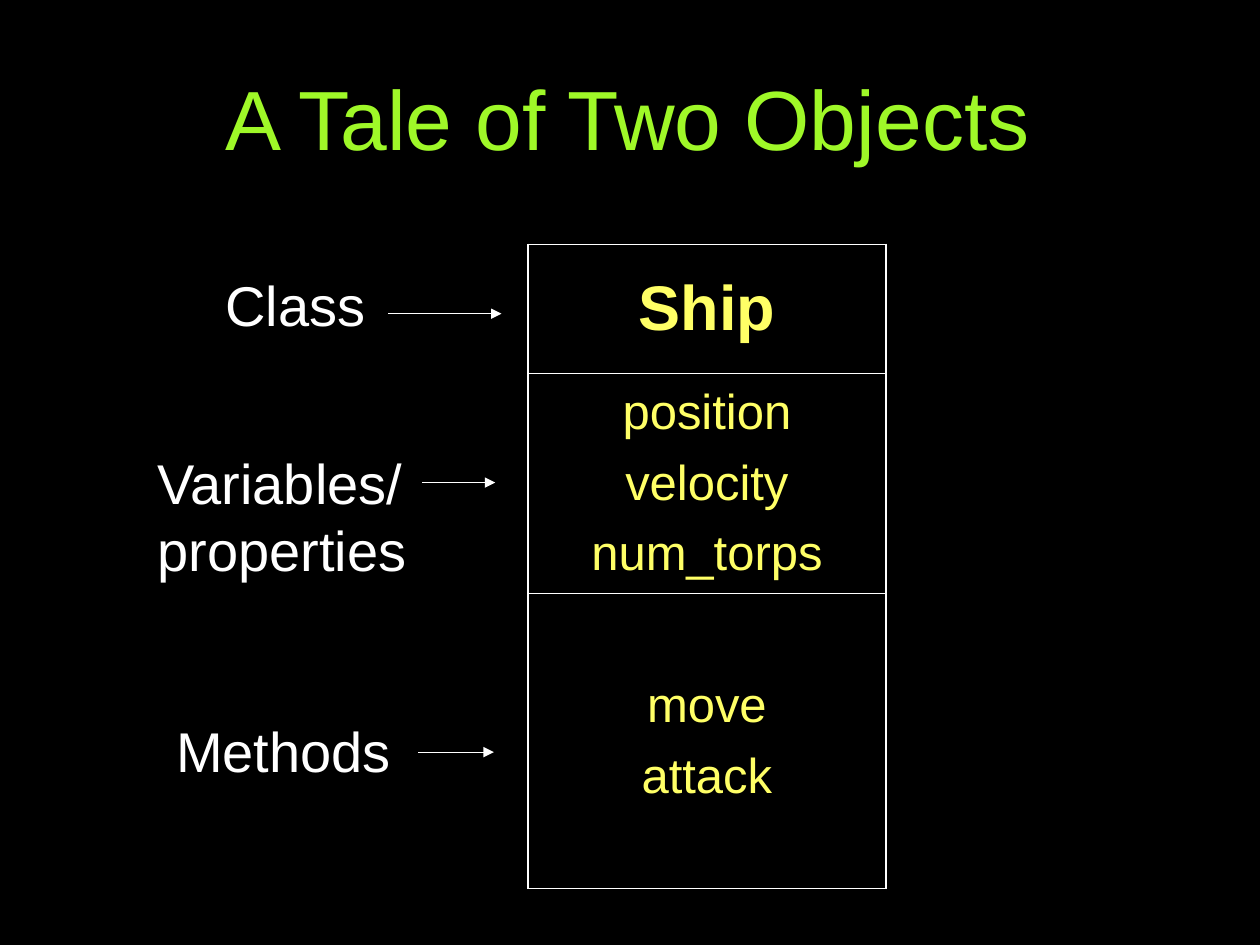
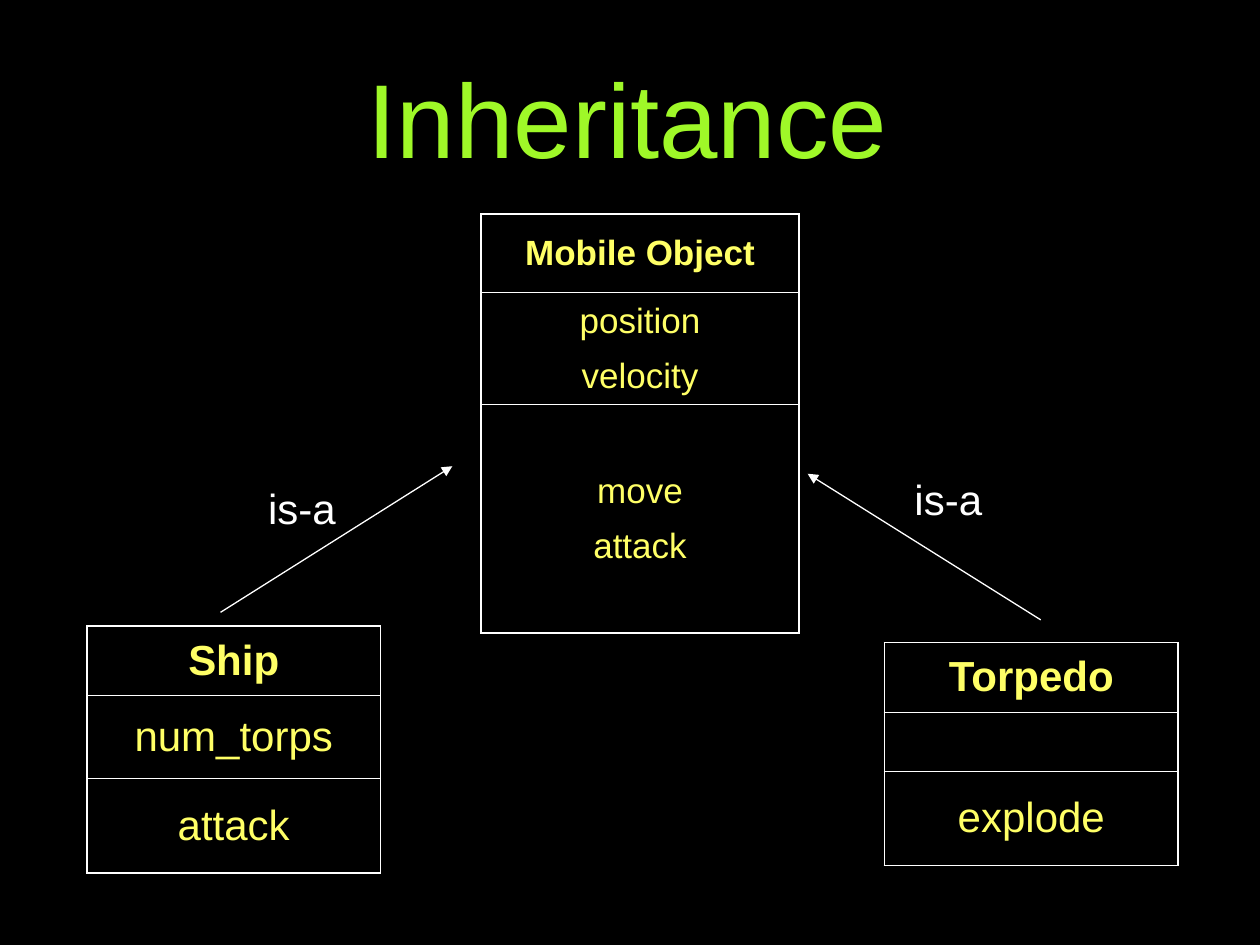
"""Builds two slides on classes and inheritance with class diagrams."""
import pptx
import pptx.dml.color
import pptx.enum.shapes
import pptx.enum.text
import pptx.oxml
import pptx.oxml.ns
import pptx.util
from lxml import etree

Inches, Pt = pptx.util.Inches, pptx.util.Pt
PP_ALIGN = pptx.enum.text.PP_ALIGN
MIDDLE = pptx.enum.text.MSO_ANCHOR.MIDDLE
qn = pptx.oxml.ns.qn

FONT = "Arial"
COLORS = {"background": "000000", "title": "9FF828", "member": "FFFF66", "plain": "FFFFFF"}
OUTER_BORDER, INNER_BORDER, ARROW_WIDTH = 1.08, 0.45, 0.75
MEMBER_GAP = 9
TITLE_AREA = (0.5, 0.07, 9, 1.71)

SLIDES = [
    {
        "title": ("A Tale of Two Objects", 48),
        "classes": [
            {"at": (4.19, 1.94), "width": 2.84, "heights": (1.02, 1.75, 2.34), "sizes": (36, 28),
             "sections": [["Ship"], ["position", "velocity", "num_torps"], ["move", "attack"]]},
        ],
        "arrows": [((3.08, 2.49), (3.98, 2.49)),
                   ((3.35, 3.83), (3.93, 3.83)),
                   ((3.32, 5.97), (3.92, 5.97))],
        "label_size": 32,
        "labels": [(["Class"], (1.69, 2.1, 1.35, 0.64)),
                   (["Variables/", "properties"], (1.15, 3.51, 2.22, 1.17)),
                   (["Methods"], (1.3, 5.64, 1.95, 0.64))],
    },
    {
        "title": ("Inheritance", 60),
        "classes": [
            {"at": (3.82, 1.7), "width": 2.52, "heights": (0.62, 0.89, 1.81), "sizes": (20, 20),
             "sections": [["Mobile Object"], ["position", "velocity"], ["move", "attack"]]},
            {"at": (0.69, 4.97), "width": 2.33, "heights": (0.55, 0.66, 0.75), "sizes": (24, 24),
             "sections": [["Ship"], ["num_torps"], ["attack"]]},
            {"at": (7.02, 5.1), "width": 2.33, "heights": (0.55, 0.47, 0.75), "sizes": (24, 24),
             "sections": [["Torpedo"], [], ["explode"]]},
        ],
        "arrows": [((1.75, 4.86), (3.59, 3.7)),
                   ((8.26, 4.92), (6.41, 3.76))],
        "label_size": 24,
        "labels": [(["is-a"], (2.03, 3.78, 0.77, 0.5)),
                   (["is-a"], (7.16, 3.71, 0.77, 0.5))],
    },
]


def rgb(role):
    return pptx.dml.color.RGBColor.from_string(COLORS[role])


def add_run(paragraph, text, size, role, bold=False):
    run = paragraph.add_run()
    run.text = text
    run.font.name = FONT
    run.font.size = Pt(size)
    run.font.bold = bold
    run.font.color.rgb = rgb(role)


def add_title(slide, text, size):
    frame = slide.shapes.add_textbox(*map(Inches, TITLE_AREA)).text_frame
    frame.word_wrap = True
    frame.vertical_anchor = MIDDLE
    frame.margin_left = frame.margin_top = frame.margin_bottom = Inches(0.06)
    heading = frame.paragraphs[0]
    heading.alignment = PP_ALIGN.CENTER
    add_run(heading, text, size, "title")


def set_borders(cell, first, last):
    properties = cell._tc.get_or_add_tcPr()
    widths = {"L": OUTER_BORDER, "R": OUTER_BORDER,
              "T": OUTER_BORDER if first else INNER_BORDER,
              "B": OUTER_BORDER if last else INNER_BORDER}
    for side, width in widths.items():
        border = etree.SubElement(properties, qn(f"a:ln{side}"), w=str(Pt(width)))
        fill = etree.SubElement(border, qn("a:solidFill"))
        etree.SubElement(fill, qn("a:srgbClr"), val=COLORS["plain"])


def add_class(slide, diagram):
    heights = diagram["heights"]
    area = (*diagram["at"], diagram["width"], sum(heights))
    table = slide.shapes.add_table(len(heights), 1, *map(Inches, area)).table
    table.first_row = table.horz_banding = False
    name_size, member_size = diagram["sizes"]
    for index, (height, members) in enumerate(zip(heights, diagram["sections"])):
        table.rows[index].height = Inches(height)
        cell = table.cell(index, 0)
        set_borders(cell, index == 0, index == len(heights) - 1)
        cell.fill.background()
        cell.vertical_anchor = MIDDLE
        is_name = index == 0
        for order, member in enumerate(members):
            frame = cell.text_frame
            line = frame.add_paragraph() if order else frame.paragraphs[0]
            line.alignment = PP_ALIGN.CENTER
            if order:
                line.space_before = Pt(MEMBER_GAP)
            add_run(line, member, name_size if is_name else member_size, "member", is_name)


def add_arrow(slide, start, end):
    arrow = slide.shapes.add_connector(
        pptx.enum.shapes.MSO_CONNECTOR.STRAIGHT, *map(Inches, (*start, *end)))
    arrow.line.color.rgb = rgb("plain")
    arrow.line.width = Pt(ARROW_WIDTH)
    etree.SubElement(arrow.line._get_or_add_ln(), qn("a:tailEnd"), type="triangle")
    etree.SubElement(arrow._element.spPr, qn("a:effectLst"))


def add_label(slide, lines, area, size):
    frame = slide.shapes.add_textbox(*map(Inches, area)).text_frame
    frame.word_wrap = False
    label = frame.paragraphs[0]
    label.alignment = PP_ALIGN.LEFT
    for order, text in enumerate(lines):
        if order:
            label.add_line_break()
        add_run(label, text, size, "plain")


def main():
    deck = pptx.Presentation()
    deck.slide_width, deck.slide_height = Inches(10), Inches(7.5)
    for content in SLIDES:
        slide = deck.slides.add_slide(deck.slide_layouts[6])
        slide.background.fill.solid()
        slide.background.fill.fore_color.rgb = rgb("background")
        add_title(slide, *content["title"])
        for diagram in content["classes"]:
            add_class(slide, diagram)
        for start, end in content["arrows"]:
            add_arrow(slide, start, end)
        for lines, area in content["labels"]:
            add_label(slide, lines, area, content["label_size"])
    deck.save("out.pptx")


if __name__ == "__main__":
    main()
